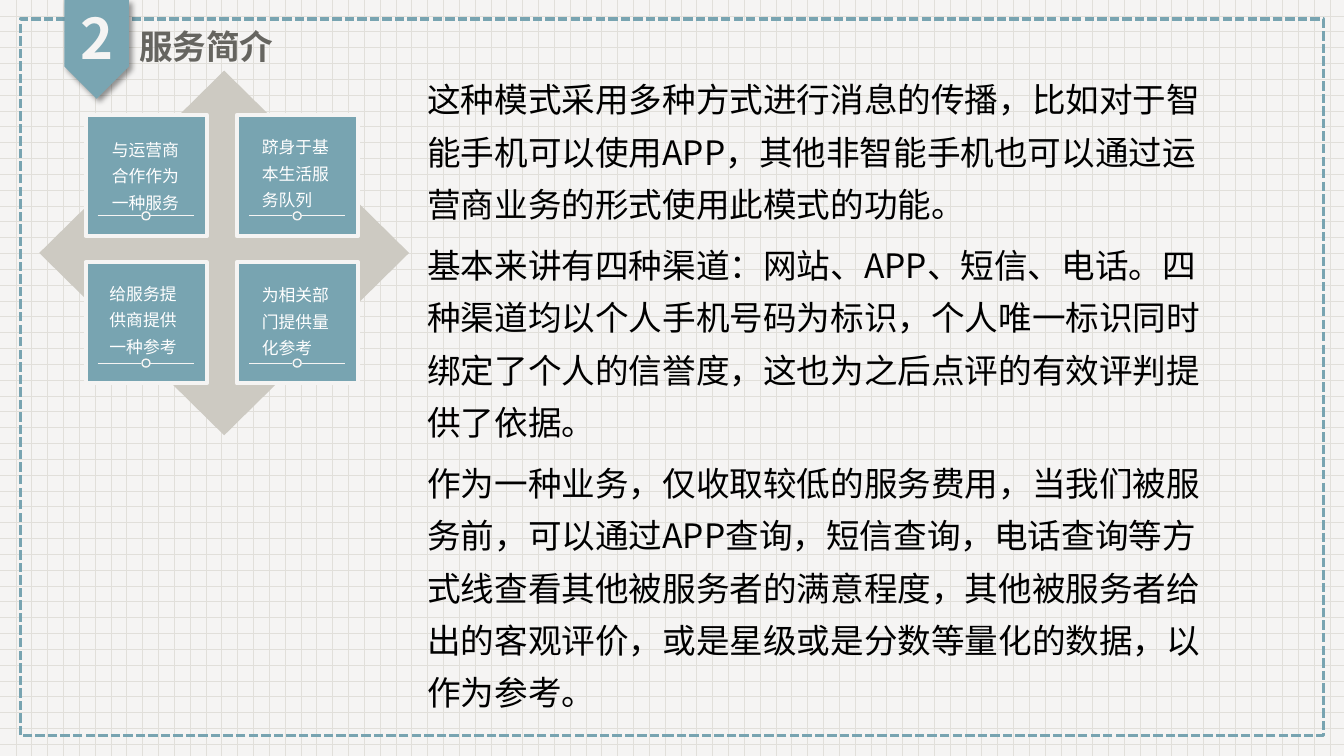
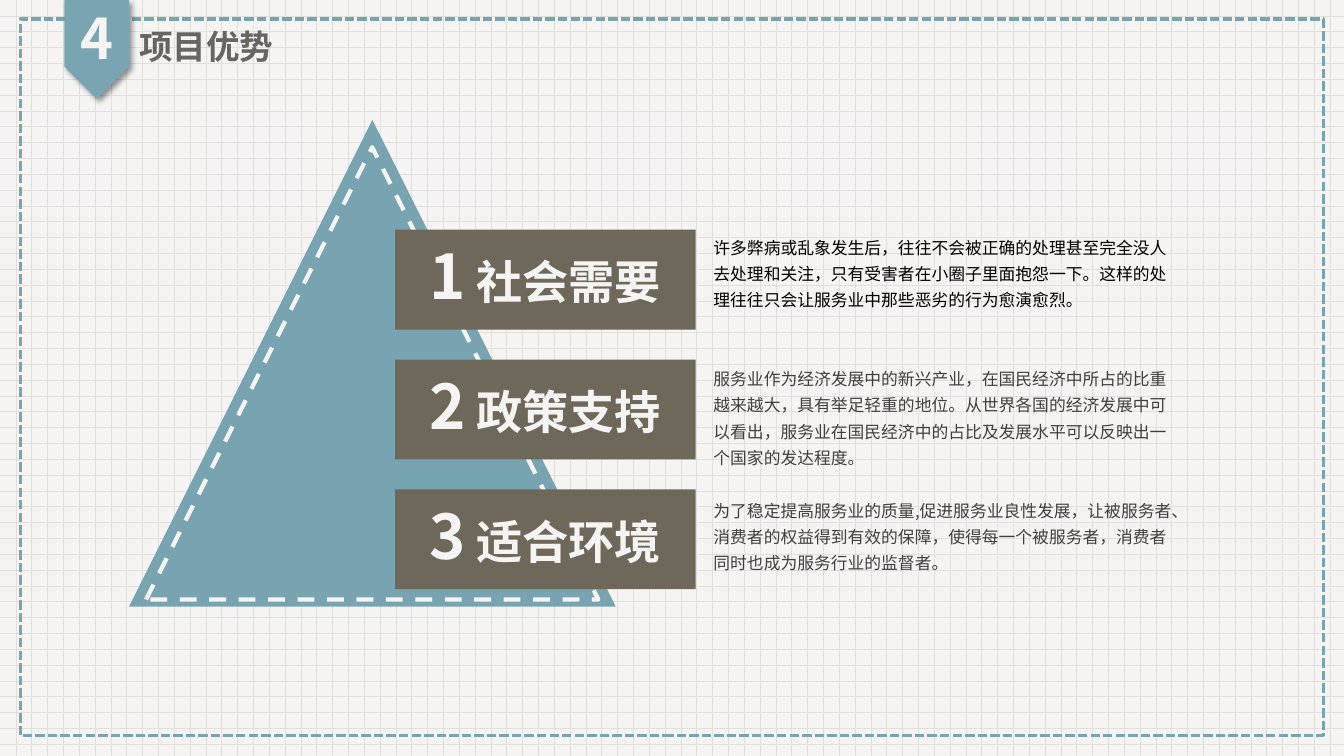
import pptx
import pptx.util
import pptx.dml.color
import pptx.enum.dml
import pptx.enum.shapes
import pptx.enum.text
import pptx.oxml
import pptx.oxml.ns
from lxml import etree

Cm = pptx.util.Cm
Pt = pptx.util.Pt
SHAPE = pptx.enum.shapes.MSO_SHAPE
DASH = pptx.enum.dml.MSO_LINE
ALIGN = pptx.enum.text.PP_ALIGN
ANCHOR = pptx.enum.text.MSO_ANCHOR
AUTO_SIZE = pptx.enum.text.MSO_AUTO_SIZE

FONT = "Noto Sans CJK SC"
COLORS = {
    "paper": "F5F4F3",
    "grid": "E1DFDA",
    "teal": "78A4B1",
    "ribbon": "79A5B2",
    "title": "666560",
    "sand": "CDCAC2",
    "brown": "6E685A",
    "white": "FFFFFF",
    "black": "000000",
    "gray": "404040",
}
RIBBON_SHADOW = (
    '<a:effectLst %s><a:outerShdw blurRad="50800" dist="38100" dir="2700000" '
    'algn="tl" rotWithShape="0"><a:srgbClr val="000000"><a:alpha val="40000"/>'
    "</a:srgbClr></a:outerShdw></a:effectLst>" % pptx.oxml.ns.nsdecls("a")
)


def rgb(name):
    return pptx.dml.color.RGBColor.from_string(COLORS[name])


class Deck:
    def __init__(self):
        self.prs = pptx.Presentation()
        self.prs.slide_width = Cm(33.87)
        self.prs.slide_height = Cm(19.05)
        self.slide = None
        paper = self.prs.slide_master.background.fill
        paper.patterned()
        paper.pattern = pptx.enum.dml.MSO_PATTERN.DOTTED_GRID
        paper.fore_color.rgb = rgb("grid")
        paper.back_color.rgb = rgb("paper")

    def start(self, number, heading):
        self.slide = self.prs.slides.add_slide(self.prs.slide_layouts[5])
        self.shape(SHAPE.RECTANGLE, (0.51, 0.48, 32.84, 18.06),
                   line=("teal", 2.25, DASH.SQUARE_DOT))
        ribbon = self.shape(SHAPE.PENTAGON, (1.19, 0.43, 2.49, 1.63), "ribbon")
        ribbon.rotation = 90
        properties = ribbon._element.spPr
        properties.remove(properties.find(pptx.oxml.ns.qn("a:effectLst")))
        properties.append(pptx.oxml.parse_xml(RIBBON_SHADOW))

        badge = self.slide.shapes.add_textbox(Cm(1.63), Cm(0), Cm(1.63), Cm(2.08))
        title = self.slide.shapes.title
        title.left, title.top, title.width, title.height = map(
            Cm, (3.25, 0.58, 11.68, 1.3))
        for holder, words, size, color, align in (
            (badge, number, 40, "paper", ALIGN.CENTER),
            (title, heading, 24, "title", ALIGN.LEFT),
        ):
            frame = holder.text_frame
            frame.word_wrap = True
            frame.auto_size = AUTO_SIZE.NONE
            frame.vertical_anchor = ANCHOR.MIDDLE
            self.paragraph(frame.paragraphs[0], [(words, size)], color,
                           align, 0.9, before=10, bold=True)

    def shape(self, kind, box, fill=None, line=None):
        shape = self.slide.shapes.add_shape(kind, *map(Cm, box))
        shape.shadow.inherit = False
        if fill:
            shape.fill.solid()
            shape.fill.fore_color.rgb = rgb(fill)
        else:
            shape.fill.background()
        if line:
            color, width, dash = line
            shape.line.color.rgb = rgb(color)
            shape.line.width = Pt(width)
            if dash:
                shape.line.dash_style = dash
        else:
            shape.line.fill.background()
        return shape

    def rule(self, x1, x2, y):
        rule = self.slide.shapes.add_connector(
            pptx.enum.shapes.MSO_CONNECTOR.STRAIGHT, Cm(x1), Cm(y), Cm(x2), Cm(y))
        rule.line.color.rgb = rgb("paper")
        rule.line.width = Pt(0.5)
        etree.SubElement(rule._element.spPr, pptx.oxml.ns.qn("a:effectLst"))

    def paragraph(self, paragraph, runs, color, align, spacing, before=0, bold=False):
        paragraph.alignment = align
        paragraph.line_spacing = spacing
        paragraph.space_before = Pt(before)
        for words, size in runs:
            run = paragraph.add_run()
            run.text = words
            run.font.size = Pt(size)
            run.font.bold = bold
            run.font.color.rgb = rgb(color)
            run.font.name = FONT
            east_asian = etree.SubElement(
                run._r.get_or_add_rPr(), pptx.oxml.ns.qn("a:ea"))
            east_asian.set("typeface", FONT)

    def text(self, box, paragraphs, size, color, before=0):
        frame = self.slide.shapes.add_textbox(*map(Cm, box)).text_frame
        frame.word_wrap = True
        frame.auto_size = AUTO_SIZE.SHAPE_TO_FIT_TEXT
        for index, words in enumerate(paragraphs):
            paragraph = frame.add_paragraph() if index else frame.paragraphs[0]
            self.paragraph(paragraph, [(words, size)], color, ALIGN.LEFT, 1.3, before)

    def tile(self, x, y, caption, caption_x, caption_y):
        self.shape(SHAPE.RECTANGLE, (x, y, 3.05, 3.05), "teal", ("paper", 3, None))
        rule_y = y + 2.54
        self.rule(x + 0.3, x + 1.4, rule_y)
        self.rule(x + 1.63, x + 2.72, rule_y)
        self.shape(SHAPE.OVAL, (x + 1.42, rule_y - 0.1, 0.2, 0.2),
                   line=("paper", 1, None))
        self.text((caption_x, caption_y, 2.34, 2.26), [caption], 12, "white", 6)

    def bar(self, y, number, label):
        bar = self.shape(SHAPE.RECTANGLE, (9.96, y, 7.57, 2.52), "brown")
        frame = bar.text_frame
        frame.word_wrap = True
        frame.vertical_anchor = ANCHOR.MIDDLE
        frame.margin_left = frame.margin_right = Cm(0.48)
        frame.margin_top = frame.margin_bottom = Cm(0.48)
        self.paragraph(frame.paragraphs[0], [(number, 44), (" " + label, 33)],
                       "paper", ALIGN.CENTER, 0.9, bold=True)


def service_slide(deck):
    deck.start("2", "服务简介")
    deck.shape(SHAPE.DIAMOND, (0.99, 1.78, 9.32, 9.19), "sand")
    benefits = (
        ("与运营商合作作为一种服务", 2.57, 3.25),
        ("跻身于基本生活服务队列", 6.35, 3.18),
        ("给服务提供商提供一种参考", 2.51, 6.88),
        ("为相关部门提供量化参考", 6.35, 6.91),
    )
    for index, benefit in enumerate(benefits):
        row, column = divmod(index, 2)
        deck.tile(2.16 + 3.81 * column, 2.9 + 3.71 * row, *benefit)
    deck.text((10.52, 1.57, 20.65, 16.66), (
        "这种模式采用多种方式进行消息的传播，比如对于智能手机可以使用APP，"
        "其他非智能手机也可以通过运营商业务的形式使用此模式的功能。",
        "基本来讲有四种渠道：网站、APP、短信、电话。四种渠道均以个人手机号码为标识，"
        "个人唯一标识同时绑定了个人的信誉度，这也为之后点评的有效评判提供了依据。",
        "作为一种业务，仅收取较低的服务费用，当我们被服务前，可以通过APP查询，"
        "短信查询，电话查询等方式线查看其他被服务者的满意程度，"
        "其他被服务者给出的客观评价，或是星级或是分数等量化的数据，以作为参考。",
    ), 24, "black", 6)


def advantage_slide(deck):
    deck.start("4", "项目优势")
    deck.shape(SHAPE.ISOSCELES_TRIANGLE, (3.25, 3.02, 12.27, 12.27), "teal")
    deck.shape(SHAPE.ISOSCELES_TRIANGLE, (3.68, 3.71, 11.4, 11.4),
               line=("paper", 3, DASH.DASH))
    advantages = (
        ("社会需要", "black", 2.26,
         "许多弊病或乱象发生后，往往不会被正确的处理甚至完全没人去处理和关注，"
         "只有受害者在小圈子里面抱怨一下。"
         "这样的处理往往只会让服务业中那些恶劣的行为愈演愈烈。"),
        ("政策支持", "gray", 2.92,
         "服务业作为经济发展中的新兴产业，在国民经济中所占的比重越来越大，"
         "具有举足轻重的地位。从世界各国的经济发展中可以看出，"
         "服务业在国民经济中的占比及发展水平可以反映出一个国家的发达程度。"),
        ("适合环境", "gray", 2.26,
         "为了稳定提高服务业的质量,促进服务业良性发展，让被服务者、"
         "消费者的权益得到有效的保障，使得每一个被服务者，"
         "消费者同时也成为服务行业的监督者。"),
    )
    for index, (label, color, height, reason) in enumerate(advantages):
        deck.bar(5.79 + 3.27 * index, str(index + 1), label)
        deck.text((17.73, 5.71 + 3.31 * index, 12.24, height), [reason], 12, color)


def main():
    deck = Deck()
    service_slide(deck)
    advantage_slide(deck)
    deck.prs.save("out.pptx")


if __name__ == "__main__":
    main()
